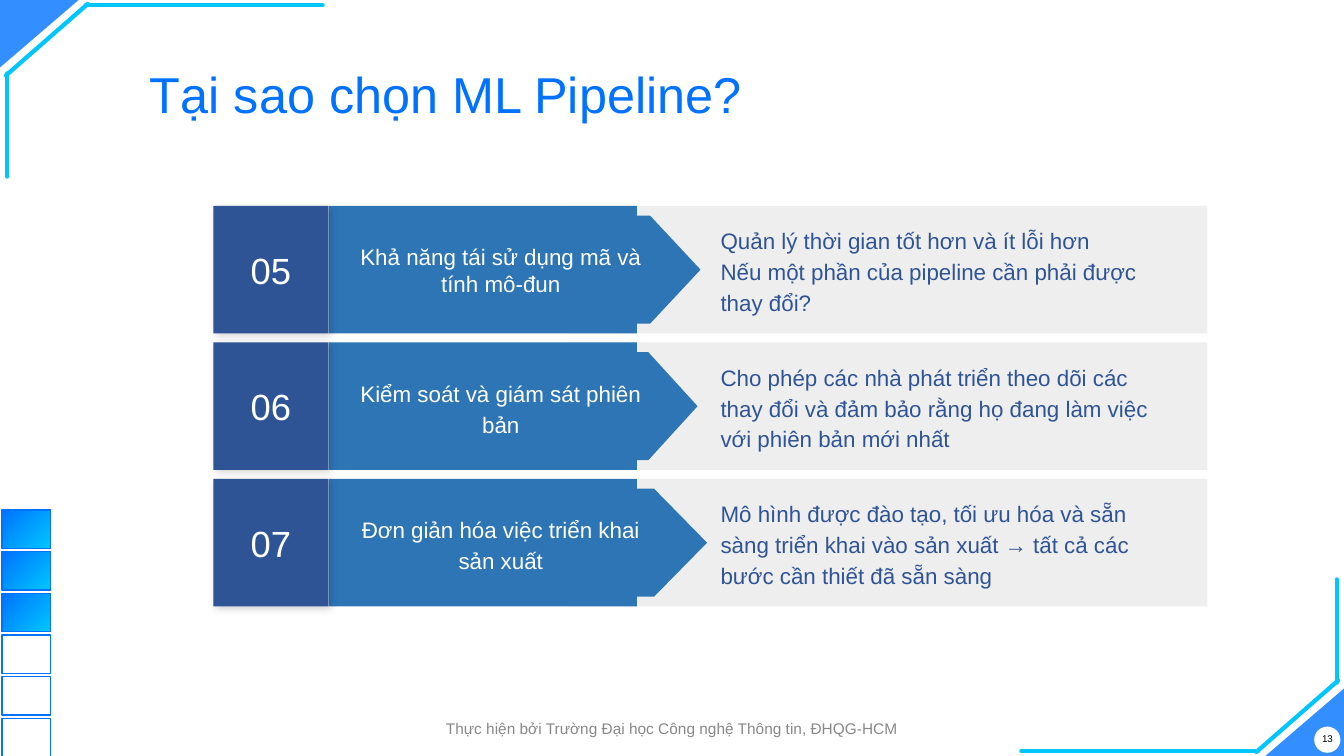
from dataclasses import dataclass

from lxml import etree
from pptx import Presentation
from pptx.dml.color import RGBColor
from pptx.enum.shapes import MSO_CONNECTOR, MSO_SHAPE
from pptx.enum.text import MSO_ANCHOR, MSO_AUTO_SIZE, PP_ALIGN
from pptx.oxml.ns import qn
from pptx.util import Cm, Pt

WIDTH, HEIGHT = 33.87, 19.05


@dataclass(frozen=True)
class Theme:
    font: str = "Arial"
    accent: str = "0072FF"
    cyan: str = "00C6FF"
    white: str = "FFFFFF"
    black: str = "000000"
    panel: str = "EEEEEE"
    arrow: str = "2E75B5"
    navy: str = "2F5496"
    muted: str = "888888"
    title_size: float = 36
    number_size: float = 26
    body_size: float = 16
    footer_size: float = 11
    page_size: float = 7


class SlideBuilder:
    def __init__(self, slide, theme):
        self.slide = slide
        self.theme = theme

    def set_text(self, shape, text, size, color, align=PP_ALIGN.LEFT,
                 spacing=1.0, anchor=MSO_ANCHOR.MIDDLE, inset=0.25):
        frame = shape.text_frame
        frame.word_wrap = True
        frame.auto_size = MSO_AUTO_SIZE.NONE
        frame.vertical_anchor = anchor
        frame.margin_left = frame.margin_right = Cm(0.25)
        frame.margin_top = frame.margin_bottom = Cm(inset)
        paragraph = frame.paragraphs[0]
        paragraph.text = text
        paragraph.alignment = align
        paragraph.line_spacing = spacing
        for run in paragraph.runs:
            run.font.name = self.theme.font
            run.font.size = Pt(size)
            run.font.color.rgb = RGBColor.from_string(color)

    def title(self, text, left, top, width, height):
        shape = self.slide.shapes.title
        shape.left, shape.top = Cm(left), Cm(top)
        shape.width, shape.height = Cm(width), Cm(height)
        self.set_text(shape, text, self.theme.title_size, self.theme.accent,
                      anchor=MSO_ANCHOR.TOP, inset=0.36)

    def text(self, text, left, top, width, height, size, color, **style):
        box = self.slide.shapes.add_textbox(Cm(left), Cm(top), Cm(width), Cm(height))
        self.set_text(box, text, size, color, **style)

    def shape(self, kind, left, top, width, height, fill=None, outline=None):
        shape = self.slide.shapes.add_shape(
            kind, Cm(left), Cm(top), Cm(width), Cm(height))
        shape.shadow.inherit = False
        if fill:
            shape.fill.solid()
            shape.fill.fore_color.rgb = RGBColor.from_string(fill)
        else:
            shape.fill.background()
        if outline:
            shape.line.color.rgb = RGBColor.from_string(outline)
            shape.line.width = Pt(1)
        else:
            shape.line.fill.background()
        return shape

    def corner_triangle(self, left, top, rotation):
        triangle = self.shape(MSO_SHAPE.ISOSCELES_TRIANGLE, left, top, 1.98, 1.7,
                              self.theme.accent)
        triangle.adjustments[0] = 1
        triangle.rotation = rotation
        color = triangle.element.spPr.find(qn("a:solidFill"))[0]
        etree.SubElement(color, qn("a:alpha"), val="80000")

    def line(self, start, end):
        connector = self.slide.shapes.add_connector(
            MSO_CONNECTOR.STRAIGHT, *(Cm(value) for value in (*start, *end)))
        connector.line.color.rgb = RGBColor.from_string(self.theme.cyan)
        connector.line.width = Pt(3)
        connector.get_or_add_ln().set("cap", "rnd")
        etree.SubElement(connector.element.spPr, qn("a:effectLst"))

    def gradient(self, shape):
        shape.fill.gradient()
        shape.fill.gradient_angle = 315
        for stop, color in zip(shape.fill.gradient_stops,
                               (self.theme.accent, self.theme.cyan)):
            stop.color.rgb = RGBColor.from_string(color)

    def soft_shadow(self, shape):
        effects = shape.element.spPr.find(qn("a:effectLst"))
        shadow = etree.SubElement(
            effects, qn("a:outerShdw"), blurRad=str(Pt(5.6)), dist=str(Pt(2.2)),
            dir="2700000", algn="tl", rotWithShape="0")
        color = etree.SubElement(shadow, qn("a:srgbClr"), val=self.theme.black)
        etree.SubElement(color, qn("a:alpha"), val="16000")

    def reason(self, top, number, label, detail, arrow_length, label_spacing):
        theme, height = self.theme, 3.21
        # Background bands
        self.shape(MSO_SHAPE.RECTANGLE, 14.35, top, 16.08, height, theme.panel)
        self.shape(MSO_SHAPE.RECTANGLE, 8.28, top, 7.77, height, theme.arrow)
        # Arrow tip, turned to point right
        thickness, center = 2.72, 14.48
        tip = self.shape(MSO_SHAPE.FLOWCHART_OFFPAGE_CONNECTOR,
                         center - thickness / 2, top + (height - arrow_length) / 2,
                         thickness, arrow_length, theme.arrow)
        tip.rotation = 270
        # Label, number and detail
        self.text(label, 8.53, top + 0.38, 8.18, 2.48, theme.body_size, theme.white,
                  align=PP_ALIGN.CENTER, spacing=label_spacing)
        badge = self.shape(MSO_SHAPE.RECTANGLE, 5.38, top, 2.9, height, theme.navy)
        self.soft_shadow(badge)
        self.set_text(badge, number, theme.number_size, theme.white, PP_ALIGN.CENTER)
        self.text(detail, 17.91, top, 11.73, height, theme.body_size, theme.navy,
                  spacing=1.15)


def main():
    presentation = Presentation()
    presentation.slide_width, presentation.slide_height = Cm(WIDTH), Cm(HEIGHT)
    theme = Theme()
    builder = SlideBuilder(
        presentation.slides.add_slide(presentation.slide_layouts[5]), theme)
    builder.title("Tại sao chọn ML Pipeline?", 3.53, 1.24, 23.67, 1.6)

    # Corner decoration, mirrored through the slide centre
    builder.corner_triangle(0, 0, 180)
    builder.corner_triangle(WIDTH - 1.98, HEIGHT - 1.7, 0)
    corner_lines = [((8.13, 0.13), (2.16, 0.13)),
                    ((2.21, 0.1), (0.15, 1.9)),
                    ((0.18, 4.45), (0.18, 1.85))]
    for start, end in corner_lines:
        builder.line(start, end)
        builder.line(*((WIDTH - x, HEIGHT - y) for x, y in (start, end)))

    # Progress boxes
    box_count, filled_count = 6, 3
    for index in range(box_count):
        box = builder.shape(MSO_SHAPE.RECTANGLE, 0.05, 12.85 + 1.05 * index,
                            1.22, 0.97, outline=theme.accent)
        if index < filled_count:
            builder.gradient(box)

    # Reasons
    reasons = [
        ("05", "Khả năng tái sử dụng mã và tính mô-đun",
         "Quản lý thời gian tốt hơn và ít lỗi hơn\n"
         "Nếu một phần của pipeline cần phải được thay đổi?", 6.35, 1.0),
        ("06", "Kiểm soát và giám sát phiên bản",
         "Cho phép các nhà phát triển theo dõi các thay đổi và đảm bảo rằng "
         "họ đang làm việc với phiên bản mới nhất", 6.2, 1.15),
        ("07", "Đơn giản hóa việc triển khai sản xuất",
         "Mô hình được đào tạo, tối ưu hóa và sẵn sàng triển khai vào sản xuất "
         "→ tất cả các bước cần thiết đã sẵn sàng", 6.68, 1.15),
    ]
    for index, reason in enumerate(reasons):
        builder.reason(5.19 + 3.44 * index, *reason)

    # Footer and page number
    builder.text("Thực hiện bởi Trường Đại học Công nghệ Thông tin, ĐHQG-HCM",
                 10.13, 17.98, 13.61, 0.74, theme.footer_size, theme.muted,
                 align=PP_ALIGN.CENTER, inset=0.13)
    builder.shape(MSO_SHAPE.OVAL, 33.12, 18.31, 0.66, 0.66, theme.white)
    builder.text("13", 33.05, 18.21, 0.81, 0.81, theme.page_size, theme.black,
                 align=PP_ALIGN.CENTER, inset=0.13)

    presentation.save("out.pptx")


if __name__ == "__main__":
    main()
